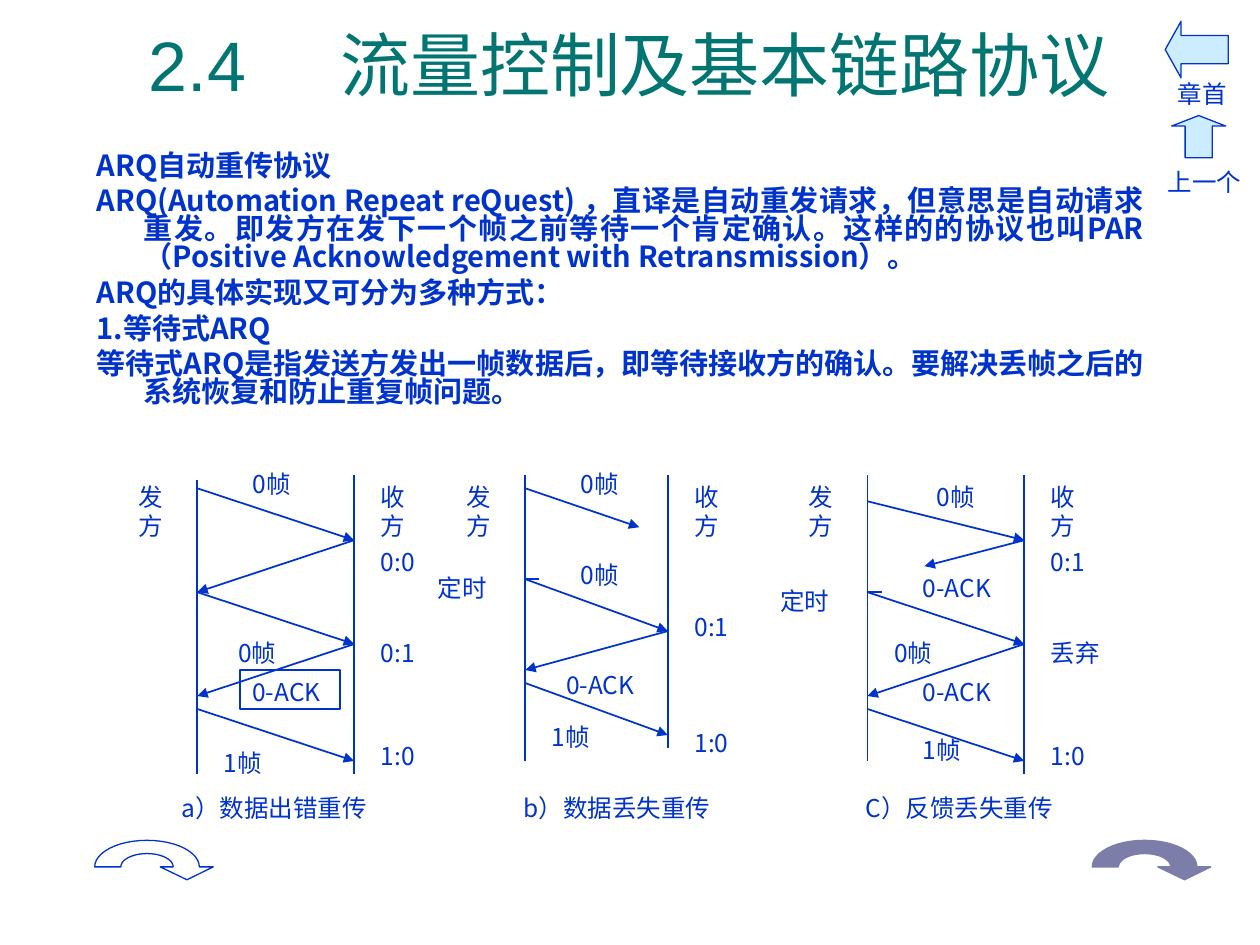
from dataclasses import dataclass
from math import cos, pi, sin

from lxml.etree import SubElement
from pptx import Presentation
from pptx.dml.color import RGBColor
from pptx.enum.shapes import MSO_CONNECTOR, MSO_SHAPE
from pptx.enum.text import MSO_ANCHOR, MSO_AUTO_SIZE, PP_ALIGN
from pptx.oxml.ns import qn
from pptx.util import Cm, Pt


@dataclass(frozen=True)
class Theme:
    teal: RGBColor = RGBColor(0x00, 0x75, 0x72)
    blue: RGBColor = RGBColor(0x00, 0x33, 0xCC)
    sky: RGBColor = RGBColor(0xCC, 0xEC, 0xFF)
    violet: RGBColor = RGBColor(0x7D, 0x7D, 0xA9)
    white: RGBColor = RGBColor(0xFF, 0xFF, 0xFF)
    title_size: float = 40
    body_size: float = 16.6
    label_size: float = 14
    outline: float = 0.75
    stroke: float = 1
    title_font: str = "Arial"
    serif: str = "Times New Roman"
    sans: str = "Noto Sans CJK SC"


THEME = Theme()
COLUMNS, ROWS = 70, 29  # grid of the exchange diagrams

BODY_TEXT = (
    "ARQ自动重传协议",
    "ARQ(Automation Repeat reQuest) ，直译是自动重发请求，但意思是自动请求重发。"
    "即发方在发下一个帧之前等待一个肯定确认。这样的的协议也叫PAR"
    "（Positive Acknowledgement with Retransmission）。",
    "ARQ的具体实现又可分为多种方式：",
    "1.等待式ARQ",
    "等待式ARQ是指发送方发出一帧数据后，即等待接收方的确认。要解决丢帧之后的系统恢复和防止重复帧问题。",
)

# Columns count from the sender line. Frames: from column, row, to column, row.
# Labels: text, column, row, width, height.
EXCHANGES = (
    dict(
        sender=5, span=11, sender_rows=(1.4, 24), receiver_rows=(1, 24), timeout=None,
        frames=((0, 2, 11, 6), (11, 6, 0, 10), (0, 10, 11, 14), (11, 14, 0, 18), (0, 19, 11, 23)),
        labels=(("0帧", 3, 0, 5, 3), ("0帧", 2, 13, 5, 3), ("1帧", 1, 22, 5, 2),
                ("0:0", 12, 6, 5, 3), ("0:1", 12, 13, 6, 3), ("1:0", 12, 21, 5, 3)),
        framed_label=("0-ACK", 3, 16, 7, 3),
        caption=("a）数据出错重传", -2, 25, 16, 4),
    ),
    dict(
        sender=28, span=10, sender_rows=(1, 23), receiver_rows=(1, 22), timeout=9,
        frames=((0, 2, 8, 5), (0, 9, 10, 13), (10, 13, 0, 16), (0, 17, 10, 21)),
        labels=(("0帧", 3, 0, 5, 3), ("0帧", 3, 7, 5, 3), ("0-ACK", 2, 16, 7, 2),
                ("1帧", 1, 20, 5, 2), ("定时", -7, 8, 6, 3),
                ("0:1", 11, 11, 6, 3), ("1:0", 11, 20, 5, 3)),
        framed_label=None,
        caption=("b）数据丢失重传", -1, 25, 15, 4),
    ),
    dict(
        sender=52, span=11, sender_rows=(1, 23), receiver_rows=(1, 24), timeout=10,
        frames=((0, 3, 11, 6), (11, 6, 4, 8), (0, 10, 11, 14), (11, 14, 0, 18), (0, 19, 11, 23)),
        labels=(("0帧", 4, 1, 5, 3), ("0-ACK", 3, 8, 7, 3), ("定时", -7, 9, 6, 3),
                ("0帧", 1, 13, 5, 3), ("0-ACK", 3, 16, 7, 3), ("1帧", 3, 21, 5, 2),
                ("0:1", 12, 6, 6, 3), ("丢弃", 12, 13, 6, 3), ("1:0", 12, 21, 5, 3)),
        framed_label=None,
        caption=("C）反馈丢失重传", -1, 25, 16, 4),
    ),
)


def add_span(para, text, size, font, color, bold=False):
    span = para.add_run()
    span.text = text
    span.font.size, span.font.bold, span.font.name = Pt(size), bold, font
    span.font.color.rgb = color
    east_asian = SubElement(span.font._element, qn("a:ea"))
    east_asian.set("typeface", THEME.sans)


def set_frame(shape, left=0.25, top=0.13, right=0.25, bottom=0.13, anchor=MSO_ANCHOR.TOP):
    frame = shape.text_frame
    frame.word_wrap, frame.auto_size = True, MSO_AUTO_SIZE.NONE
    frame.vertical_anchor = anchor
    frame.margin_left, frame.margin_top = Cm(left), Cm(top)
    frame.margin_right, frame.margin_bottom = Cm(right), Cm(bottom)
    return frame


def place(shape, box):
    shape.left, shape.top, shape.width, shape.height = map(Cm, box)


def style_outline(shape, fill, line):
    shape.shadow.inherit = False
    shape.fill.solid()
    shape.fill.fore_color.rgb = fill
    shape.line.color.rgb = line
    shape.line.width = Pt(THEME.outline)


def add_label(page, box, text, font=THEME.sans, align=PP_ALIGN.JUSTIFY, framed=False, **margins):
    label = page.shapes.add_textbox(*map(Cm, box))
    if framed:
        label.line.color.rgb = THEME.blue
        label.line.width = Pt(THEME.stroke)
    para = set_frame(label, **margins).paragraphs[0]
    para.alignment = align
    add_span(para, text, THEME.label_size, font, THEME.blue)


def add_line(page, start, end, arrow=False):
    line = page.shapes.add_connector(MSO_CONNECTOR.STRAIGHT, *map(Cm, (*start, *end)))
    line.line.color.rgb = THEME.blue
    line.line.width = Pt(THEME.stroke)
    if arrow:
        SubElement(line.line._get_or_add_ln(), qn("a:tailEnd")).set("type", "triangle")
    SubElement(line._element.spPr, qn("a:effectLst"))


def add_title(page, box):
    title = page.shapes.title
    place(title, box)
    para = set_frame(title, left=1.1, anchor=MSO_ANCHOR.MIDDLE).paragraphs[0]
    para.alignment = PP_ALIGN.LEFT
    # The tab stop separates the section number from its name
    tabs = SubElement(para._p.get_or_add_pPr(), qn("a:tabLst"))
    tab = SubElement(tabs, qn("a:tab"))
    tab.set("pos", str(Cm(3.86)))
    tab.set("algn", "l")
    add_span(para, "2.4\t流量控制及基本链路协议", THEME.title_size, THEME.title_font, THEME.teal)


def add_body(page, box):
    body = page.placeholders[1]
    place(body, box)
    frame = set_frame(body)
    for index, text in enumerate(BODY_TEXT):
        para = frame.add_paragraph() if index else frame.paragraphs[0]
        para.alignment, para.line_spacing = PP_ALIGN.JUSTIFY, 0.8
        para.space_before = Pt(4.5 if index else 0)
        properties = para._p.get_or_add_pPr()
        properties.set("marL", str(Cm(0.95)))
        properties.set("indent", str(Cm(-0.95)))
        SubElement(properties, qn("a:buNone"))
        add_span(para, text, THEME.body_size, THEME.sans, THEME.blue, bold=True)


def add_navigation(page, box):
    left, top = box[:2]
    # Each button: preset, arrow box, head length, caption and its box
    buttons = (
        (MSO_SHAPE.LEFT_ARROW, (0.2, 0, 1.27, 1.14), 0.28, "章首", (0.2, 1.04, 1.5, 0.86)),
        (MSO_SHAPE.UP_ARROW, (0.33, 1.9, 1.09, 0.85), 0.25, "上一个", (0, 2.8, 2.11, 0.86)),
    )
    for preset, (x, y, *size), head, text, (text_x, text_y, *text_size) in buttons:
        arrow = page.shapes.add_shape(preset, *map(Cm, (left + x, top + y, *size)))
        arrow.adjustments[0], arrow.adjustments[1] = 0.5, head
        style_outline(arrow, THEME.sky, THEME.blue)
        add_label(page, (left + text_x, top + text_y, *text_size), text, THEME.serif, PP_ALIGN.LEFT)


def add_curved_arrow(page, box, fill, line):
    left, top, width, height = box
    center_x, center_y = left + width / 2, top + height / 2
    angles = [pi * step / 24 for step in range(25)]
    inner = [(center_x + width / 4 * cos(a), center_y - height / 4 * sin(a)) for a in angles]
    outer = [(center_x - width / 2 * cos(a), center_y - height / 2 * sin(a)) for a in angles]
    head = [(left + 2.39, center_y), (left + 1.86, center_y + 0.26), (left + 1.32, center_y)]
    points = [(Cm(x), Cm(y)) for x, y in inner + outer + head]
    builder = page.shapes.build_freeform(*points[0])
    builder.add_line_segments(points[1:], close=True)
    style_outline(builder.convert_to_shape(), fill, line)


def add_exchange(page, box, exchange):
    left, top, width, height = box
    column, row = width / COLUMNS, height / ROWS
    span = exchange["span"]

    def point(x, y):
        return left + (exchange["sender"] + x) * column, top + y * row

    def cell(x, y, columns, rows):
        return (*point(x, y), columns * column, rows * row)

    # Sender and receiver time lines
    for x, rows in ((0, exchange["sender_rows"]), (span, exchange["receiver_rows"])):
        add_line(page, point(x, rows[0]), point(x, rows[1]))
    for text, x in (("发方", -5), ("收方", span + 1)):
        add_label(page, cell(x, 1, 4, 6), text, THEME.serif)
    # Frames, acknowledgements and the timeout mark
    for x1, y1, x2, y2 in exchange["frames"]:
        add_line(page, point(x1, y1), point(x2, y2), arrow=True)
    if exchange["timeout"]:
        add_line(page, point(0, exchange["timeout"]), point(1, exchange["timeout"]))
    # Labels and caption
    for text, *area in exchange["labels"]:
        add_label(page, cell(*area), text, right=0, top=0 if area[3] == 2 else 0.13)
    if exchange["framed_label"]:
        text, *area = exchange["framed_label"]
        add_label(page, cell(*area), text, framed=True)
    text, *area = exchange["caption"]
    add_label(page, cell(*area), text)


def main():
    deck = Presentation()
    deck.slide_width, deck.slide_height = Cm(25.4), Cm(19.05)
    page = deck.slides.add_slide(deck.slide_layouts[1])
    add_title(page, (1.9, 0.43, 21.6, 1.7))
    add_navigation(page, (23.29, 0.43, 2.11, 3.66))
    add_curved_arrow(page, (1.91, 16.94, 2.11, 1.07), THEME.white, THEME.blue)
    add_curved_arrow(page, (22.02, 16.94, 2.11, 1.07), THEME.violet, THEME.violet)
    add_body(page, (1.7, 2.97, 21.6, 6.15))
    for exchange in EXCHANGES:
        add_exchange(page, (2.54, 9.32, 20.12, 7.59), exchange)
    deck.save("out.pptx")


if __name__ == "__main__":
    main()
